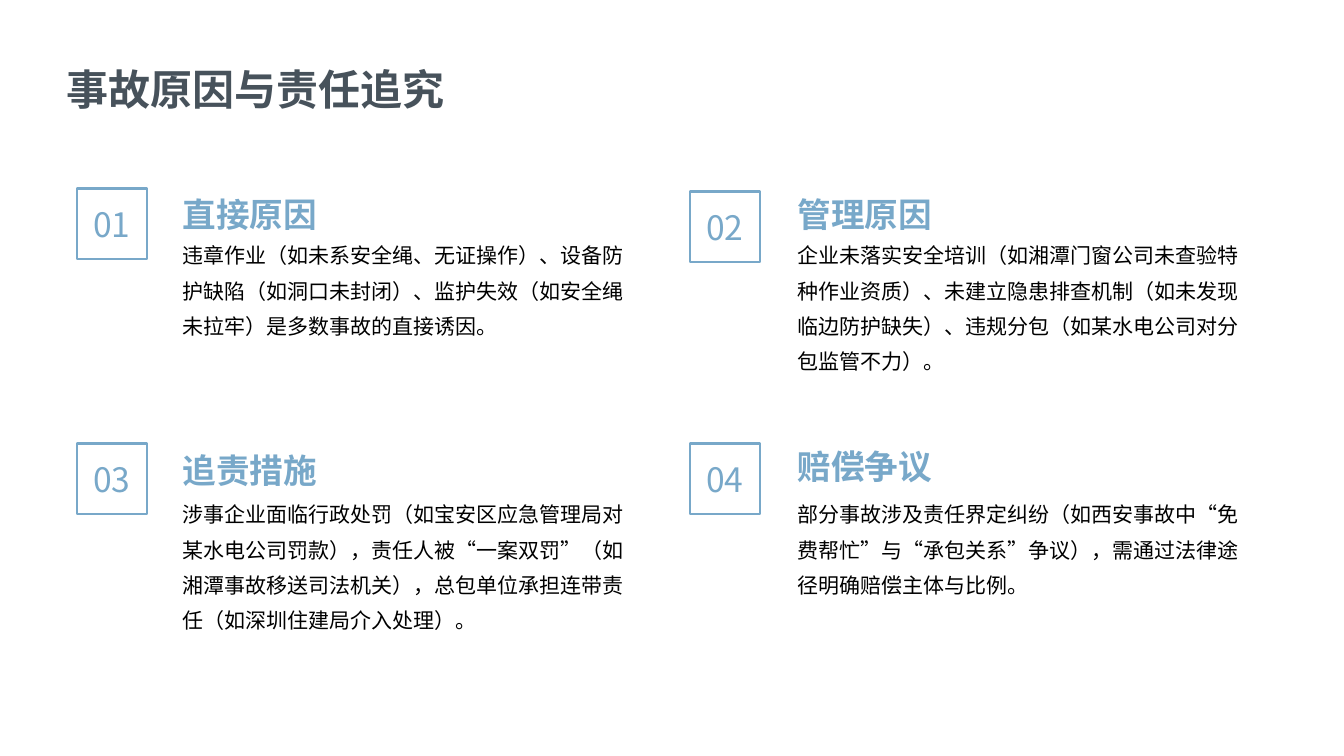
from dataclasses import dataclass

from lxml import etree
from pptx import Presentation
from pptx import util as u
from pptx.dml.color import RGBColor
from pptx.enum import shapes, text
from pptx.oxml import ns

COLOURS = {"accent": "78A8C9", "title": "47525B", "body": "000000"}
FONT = "Noto Sans CJK SC"
SQUARE_SIZE = 0.7
HEADING_OFFSET = 0.91
COLUMNS = (0.76, 6.84)
TEXT_COLUMNS = (1.67, 7.77)
BODY_TOPS = (2.25, 4.82)


@dataclass(frozen=True)
class Topic:
    heading: str
    body: str
    square_top: float
    heading_top: float


@dataclass(frozen=True)
class Style:
    size: float
    colour: str
    bold: bool = False
    line_spacing: float = 1.0
    align: text.PP_ALIGN = text.PP_ALIGN.LEFT
    anchor: text.MSO_ANCHOR = text.MSO_ANCHOR.TOP
    insets: tuple[float, float, float, float] = (0.14, 0.06, 0.06, 0.06)


TITLE = Style(30, "title", True, 1.4, insets=(0.14, 0.14, 0.06, 0.14))
HEADING = Style(24, "accent", True, 1.5, anchor=text.MSO_ANCHOR.MIDDLE,
                insets=(0.14, 0.14, 0.06, 0.14))
BODY = Style(15, "body", line_spacing=1.4)
NUMBER = Style(24, "accent", align=text.PP_ALIGN.CENTER,
               anchor=text.MSO_ANCHOR.MIDDLE, insets=(0, 0, 0, 0))

TOPICS = (
    Topic("直接原因",
          "违章作业（如未系安全绳、无证操作）、设备防护缺陷（如洞口未封闭）、"
          "监护失效（如安全绳未拉牢）是多数事故的直接诱因。", 1.87, 1.62),
    Topic("管理原因",
          "企业未落实安全培训（如湘潭门窗公司未查验特种作业资质）、"
          "未建立隐患排查机制（如未发现临边防护缺失）、"
          "违规分包（如某水电公司对分包监管不力）。", 1.9, 1.62),
    Topic("追责措施",
          "涉事企业面临行政处罚（如宝安区应急管理局对某水电公司罚款），"
          "责任人被“一案双罚”（如湘潭事故移送司法机关），"
          "总包单位承担连带责任（如深圳住建局介入处理）。", 4.4, 4.16),
    Topic("赔偿争议",
          "部分事故涉及责任界定纠纷（如西安事故中“免费帮忙”与“承包关系”争议），"
          "需通过法律途径明确赔偿主体与比例。", 4.4, 4.12),
)


def write(box, words: str, style: Style) -> None:
    frame = box.text_frame
    frame.text = words
    frame.word_wrap = True
    frame.auto_size = text.MSO_AUTO_SIZE.NONE
    frame.vertical_anchor = style.anchor
    (frame.margin_left, frame.margin_top,
     frame.margin_right, frame.margin_bottom) = map(u.Inches, style.insets)
    para = frame.paragraphs[0]
    para.alignment = style.align
    para.line_spacing = style.line_spacing
    para.space_before = u.Pt(0)
    font = para.font
    font.size = u.Pt(style.size)
    font.bold = style.bold
    font.color.rgb = RGBColor.from_string(COLOURS[style.colour])
    font.name = FONT
    properties = para._p.pPr.find(ns.qn("a:defRPr"))
    etree.SubElement(properties, ns.qn("a:ea"), typeface=FONT)


def add_text(page, left: float, top: float, width: float, height: float,
             words: str, style: Style) -> None:
    box = page.shapes.add_textbox(*map(u.Inches, (left, top, width, height)))
    write(box, words, style)


def add_number(page, left: float, top: float, number: int) -> None:
    square = page.shapes.add_shape(
        shapes.MSO_SHAPE.RECTANGLE,
        *map(u.Inches, (left, top, SQUARE_SIZE, SQUARE_SIZE)))
    square.shadow.inherit = False
    square.fill.background()
    square.line.color.rgb = RGBColor.from_string(COLOURS["accent"])
    square.line.width = u.Pt(1.5)
    write(square, f"{number:02d}", NUMBER)


def add_title(page, words: str) -> None:
    title = page.shapes.title
    title.left, title.top = u.Inches(0.52), u.Inches(0.29)
    title.width, title.height = u.Inches(12.29), u.Inches(1)
    write(title, words, TITLE)


def main() -> None:
    deck = Presentation()
    deck.slide_width, deck.slide_height = u.Inches(13.33), u.Inches(7.5)
    page = deck.slides.add_slide(deck.slide_layouts.get_by_name("Title Only"))
    add_title(page, "事故原因与责任追究")
    for index, topic in enumerate(TOPICS):
        row, column = divmod(index, len(COLUMNS))
        text_left = TEXT_COLUMNS[column]
        add_number(page, COLUMNS[column], topic.square_top, index + 1)
        add_text(page, text_left, topic.heading_top, 4.61, 0.81,
                 topic.heading, HEADING)
        add_text(page, text_left, BODY_TOPS[row], 4.64, 1.7, topic.body, BODY)
    deck.save("out.pptx")


if __name__ == "__main__":
    main()
